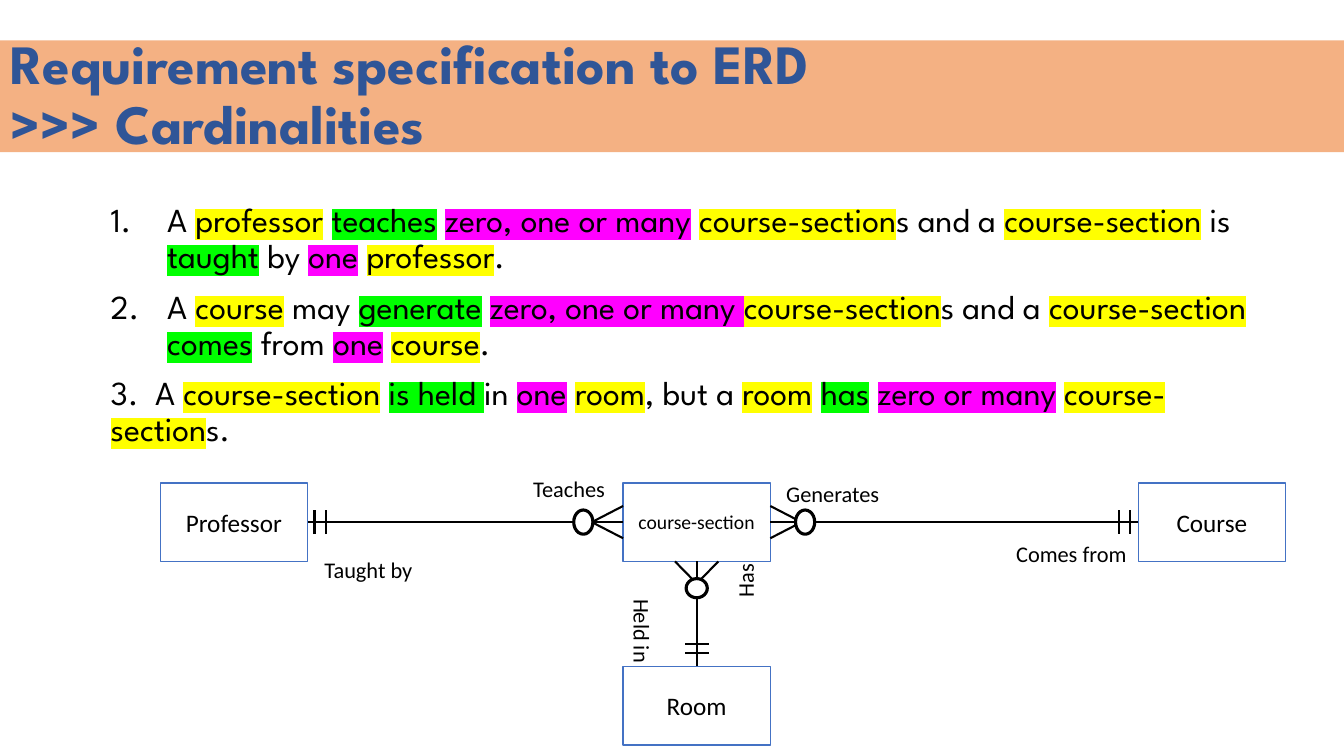
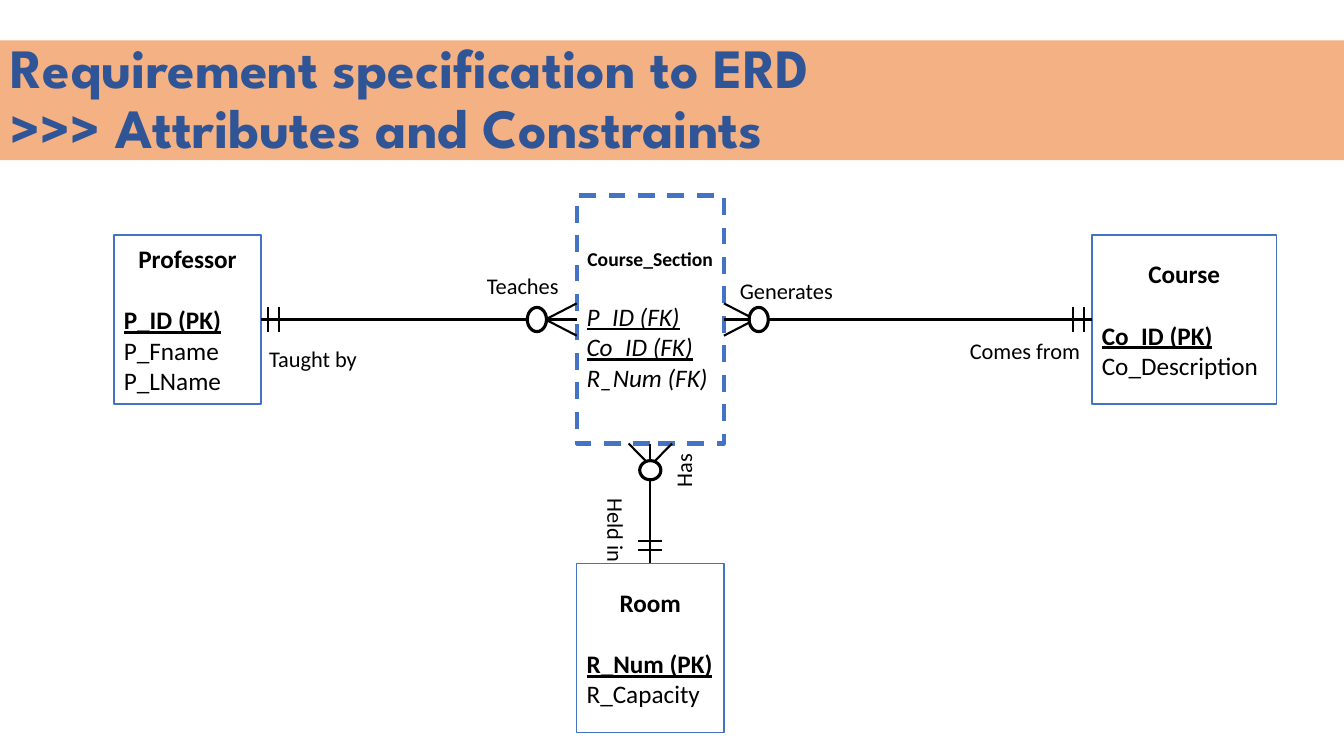
from dataclasses import dataclass

from lxml import etree
from pptx import Presentation
from pptx.dml.color import RGBColor
from pptx.enum.dml import MSO_LINE
from pptx.enum.shapes import MSO_CONNECTOR, MSO_SHAPE
from pptx.enum.text import MSO_ANCHOR, MSO_AUTO_SIZE, PP_ALIGN
from pptx.oxml.ns import qn
from pptx.util import Inches, Pt

RECTANGLE, ELLIPSE = MSO_SHAPE.RECTANGLE, MSO_SHAPE.OVAL
STRAIGHT, DASH = MSO_CONNECTOR.STRAIGHT, MSO_LINE.DASH
LEFT, CENTER = PP_ALIGN.LEFT, PP_ALIGN.CENTER
TOP, MIDDLE = MSO_ANCHOR.TOP, MSO_ANCHOR.MIDDLE
TITLE_ONLY = 5

# Every position below is counted in grid columns and rows of this size.
CELL = Inches(0.1)
COLUMNS, ROWS = 133.3, 75


@dataclass(frozen=True)
class Theme:
    band: str = "F4B183"
    title: str = "2F5597"
    border: str = "4472C4"
    ink: str = "000000"
    paper: str = "FFFFFF"
    entity: str = "FFFF00"
    verb: str = "00FF00"
    count: str = "FF00FF"
    display_font: str = "League Spartan"
    diagram_font: str = "Calibri"
    title_size: float = 39.6
    body_size: int = 24
    entity_size: int = 18
    hub_size: int = 14
    label_size: int = 16
    heading_gap: int = 22
    thin: float = 1
    line: float = 1.5
    ring: float = 2.25
    heavy: float = 3


THEME = Theme()
ENTITY, VERB, COUNT = THEME.entity, THEME.verb, THEME.count


@dataclass(frozen=True)
class Entity:
    name: str
    fields: tuple = ()
    size: int = THEME.entity_size
    dashed: bool = False


@dataclass(frozen=True)
class Ends:
    """Crow's foot, ring and bars, measured along the line and across it."""
    reach: float
    spread: float
    ring_start: float
    ring_across: float
    bars: tuple


@dataclass(frozen=True)
class Label:
    """Text placed by its offset from the end of a line."""
    text: str
    width: float
    right: float
    down: float
    turn: int = 0


LEFT_ENDS = Ends(3.1, 1.6, 3, 2.4, (0.7, 1.8))
RIGHT_ENDS = Ends(3.1, 1.6, 2.5, 2.4, (0.8, 1.9))
DOWN_ENDS = Ends(2.2, 2.15, 1.7, 2.1, (1.3, 2.2))
RING_LENGTH, BAR_HALF = 1.9, 1.2
SIDE_WIDTH, HUB_START, COURSE_START = 14.6, 45.9, 97
LABEL_HEIGHT = 3.7

STATEMENTS = (
    (("A ", None), ("professor", ENTITY), (" ", None), ("teaches", VERB),
     (" ", None), ("zero, one or many", COUNT), (" ", None),
     ("course-section", ENTITY), ("s and a ", None),
     ("course-section", ENTITY), (" is ", None), ("taught", VERB),
     (" by ", None), ("one", COUNT), (" ", None), ("professor", ENTITY),
     (".", None)),
    (("A ", None), ("course", ENTITY), (" may ", None), ("generate", VERB),
     (" ", None), ("zero, one or many ", COUNT), ("course-section", ENTITY),
     ("s and a ", None), ("course-section", ENTITY), (" ", None),
     ("comes", VERB), (" from ", None), ("one", COUNT), (" ", None),
     ("course", ENTITY), (".", None)),
    (("3.\tA ", None), ("course-section", ENTITY), (" ", None),
     ("is held ", VERB), ("in ", None), ("one", COUNT), (" ", None),
     ("room", ENTITY), (", but a ", None), ("room", ENTITY), (" ", None),
     ("has", VERB), (" ", None), ("zero or many", COUNT), (" ", None),
     ("course-section", ENTITY), ("s.", None)),
)


def cells(*counts):
    return [round(count * CELL) for count in counts]


def color(code):
    return RGBColor.from_string(code)


def add_span(para, text, size, font=THEME.diagram_font, ink=THEME.ink,
             style="", highlight=None):
    """Add a run; style holds any of the letters b, i and u."""
    span = para.add_run()
    span.text = text
    span.font.size = Pt(size)
    span.font.color.rgb = color(ink)
    span.font.bold, span.font.italic = "b" in style, "i" in style
    span.font.underline = "u" in style
    if highlight:
        mark = etree.SubElement(span.font._element, qn("a:highlight"))
        etree.SubElement(mark, qn("a:srgbClr"), val=highlight)
    span.font.name = font


def add_title(page, lines, height):
    title = page.shapes.title
    title.left, title.top, title.width, title.height = cells(0, 4, COLUMNS, height)
    title.fill.solid()
    title.fill.fore_color.rgb = color(THEME.band)
    frame = title.text_frame
    frame.auto_size = MSO_AUTO_SIZE.NONE
    frame.vertical_anchor = MIDDLE
    para = frame.paragraphs[0]
    para.alignment, para.line_spacing = LEFT, 0.9
    for index, line in enumerate(lines):
        if index:
            para.add_line_break()
        add_span(para, line, THEME.title_size, THEME.display_font, THEME.title, "b")


def add_statements(page, box, statements, numbered):
    """List the statements; the first few get automatic numbers."""
    frame = page.shapes.add_textbox(*cells(*box)).text_frame
    frame.word_wrap, frame.vertical_anchor = True, TOP
    for index, statement in enumerate(statements):
        para = frame.add_paragraph() if index else frame.paragraphs[0]
        para.line_spacing = 0.9
        para.space_before = Pt(10 if index else 0)
        props = para._p.get_or_add_pPr()
        if index < numbered:
            hang = cells(5.6)[0]
            props.set("marL", str(hang))
            props.set("indent", str(-hang))
            etree.SubElement(props, qn("a:buFont"), typeface="+mj-lt")
            etree.SubElement(props, qn("a:buAutoNum"), type="arabicPeriod")
        else:
            stops = etree.SubElement(props, qn("a:tabLst"))
            etree.SubElement(stops, qn("a:tab"), pos=str(cells(4.4)[0]), algn="l")
        for text, highlight in statement:
            add_span(para, text, THEME.body_size, THEME.display_font,
                     highlight=highlight)


def add_outline(page, kind, box, ink, width):
    shape = page.shapes.add_shape(kind, *cells(*box))
    shape.shadow.inherit = False
    shape.fill.solid()
    shape.fill.fore_color.rgb = color(THEME.paper)
    shape.line.color.rgb = color(ink)
    shape.line.width = Pt(width)
    return shape


def add_entity(page, box, entity):
    width = THEME.heavy if entity.dashed else THEME.thin
    shape = add_outline(page, RECTANGLE, box, THEME.border, width)
    if entity.dashed:
        shape.line.dash_style = DASH
    frame = shape.text_frame
    frame.word_wrap, frame.vertical_anchor = True, MIDDLE
    heading = frame.paragraphs[0]
    heading.alignment = CENTER
    add_span(heading, entity.name, entity.size, style="b" if entity.fields else "")
    if entity.fields:
        heading.space_after = Pt(THEME.heading_gap)
    for text, style in entity.fields:
        para = frame.add_paragraph()
        para.alignment = LEFT
        add_span(para, text, THEME.entity_size, style=style)


def add_line(page, start, end):
    line = page.shapes.add_connector(STRAIGHT, *cells(*start, *end))
    line.line.color.rgb = color(THEME.ink)
    line.line.width = Pt(THEME.line)
    etree.SubElement(line._element.spPr, qn("a:effectLst"))


def add_label(page, anchor, label):
    box = (anchor[0] + label.right, anchor[1] + label.down, label.width, LABEL_HEIGHT)
    shape = page.shapes.add_textbox(*cells(*box))
    shape.rotation = label.turn
    shape.text_frame.word_wrap = False
    add_span(shape.text_frame.paragraphs[0], label.text, THEME.label_size)


def add_relation(page, many, one, ends, many_label, one_label):
    """Join a zero-or-many end to an exactly-one end."""
    gap = (one[0] - many[0], one[1] - many[1])
    length = abs(gap[0]) + abs(gap[1])
    step = (gap[0] / length, gap[1] / length)

    def place(along, across):
        return (many[0] + step[0] * along - step[1] * across,
                many[1] + step[1] * along + step[0] * across)

    add_line(page, many, one)
    for side in (-1, 1):
        add_line(page, place(0, side * ends.spread), place(ends.reach, 0))
    middle = place(ends.ring_start + RING_LENGTH / 2, 0)
    size = (RING_LENGTH, ends.ring_across) if step[0] else (ends.ring_across, RING_LENGTH)
    ring = (middle[0] - size[0] / 2, middle[1] - size[1] / 2, *size)
    add_outline(page, ELLIPSE, ring, THEME.ink, THEME.ring)
    for bar in ends.bars:
        add_line(page, place(length - bar, -BAR_HALF), place(length - bar, BAR_HALF))
    add_label(page, many, many_label)
    add_label(page, one, one_label)


def add_diagram(page, left, axis, entities, side_height, hub_height, room_gap,
                course_width, taught, held, has):
    """Set two entities beside a hub on one axis and a third below it."""
    professor, hub, course, room = entities
    hub_left, course_left = left + HUB_START, left + COURSE_START
    hub_right, hub_bottom = hub_left + SIDE_WIDTH, axis + hub_height / 2
    hub_middle, room_top = hub_left + SIDE_WIDTH / 2, hub_bottom + room_gap
    side_top = axis - side_height / 2
    add_entity(page, (left, side_top, SIDE_WIDTH, side_height), professor)
    add_entity(page, (hub_left, axis - hub_height / 2, SIDE_WIDTH, hub_height), hub)
    add_entity(page, (course_left, side_top, course_width, side_height), course)
    add_entity(page, (hub_left, room_top, SIDE_WIDTH, side_height), room)
    add_relation(page, (hub_left, axis), (left + SIDE_WIDTH, axis), LEFT_ENDS,
                 Label("Teaches", 9.2, -9.9, -5.2),
                 Label("Taught by", 11.3, *taught))
    add_relation(page, (hub_right, axis), (course_left, axis), RIGHT_ENDS,
                 Label("Generates", 11.4, 0.6, -4.7),
                 Label("Comes from", 13.1, -13.1, 1.3))
    add_relation(page, (hub_middle, hub_bottom), (hub_middle, room_top), DOWN_ENDS,
                 Label("Has", 5.4, *has, 270),
                 Label("Held in", 8.4, *held, 90))


def add_page(deck, subtitle, title_height):
    page = deck.slides.add_slide(deck.slide_layouts[TITLE_ONLY])
    add_title(page, ("Requirement specification to ERD", f">>> {subtitle}"),
              title_height)
    return page


def build_cardinalities(deck):
    page = add_page(deck, "Cardinalities", 11.1)
    add_statements(page, (10, 19.7, 118.3, 26.4), STATEMENTS, numbered=2)
    entities = (Entity("Professor"), Entity("course-section", size=THEME.hub_size),
                Entity("Course"), Entity("Room"))
    add_diagram(page, 15.9, 51.8, entities, side_height=7.8, hub_height=7.8,
                room_gap=10.4, course_width=SIDE_WIDTH,
                taught=(0.7, 2.9), held=(-9.6, -5.3), has=(2.1, 0))


def build_attributes(deck):
    page = add_page(deck, "Attributes and Constraints", 11.9)
    entities = (
        Entity("Professor", (("P_ID (PK)", "bu"), ("P_Fname", ""), ("P_LName", ""))),
        Entity("Course_Section", (("P_ID (FK)", "iu"), ("Co_ID (FK)", "iu"),
                                  ("R_Num (FK)", "i")), THEME.hub_size, True),
        Entity("Course", (("Co_ID (PK)", "bu"), ("Co_Description", ""))),
        Entity("Room", (("R_Num (PK)", "bu"), ("R_Capacity", ""))),
    )
    add_diagram(page, 11.3, 31.7, entities, side_height=16.8, hub_height=24.6,
                room_gap=11.9, course_width=18.3,
                taught=(-0.2, 2), held=(-7.6, -5.1), has=(0.6, 0.8))


def main():
    deck = Presentation()
    deck.slide_width, deck.slide_height = cells(COLUMNS, ROWS)
    build_cardinalities(deck)
    build_attributes(deck)
    deck.save("out.pptx")


if __name__ == "__main__":
    main()
